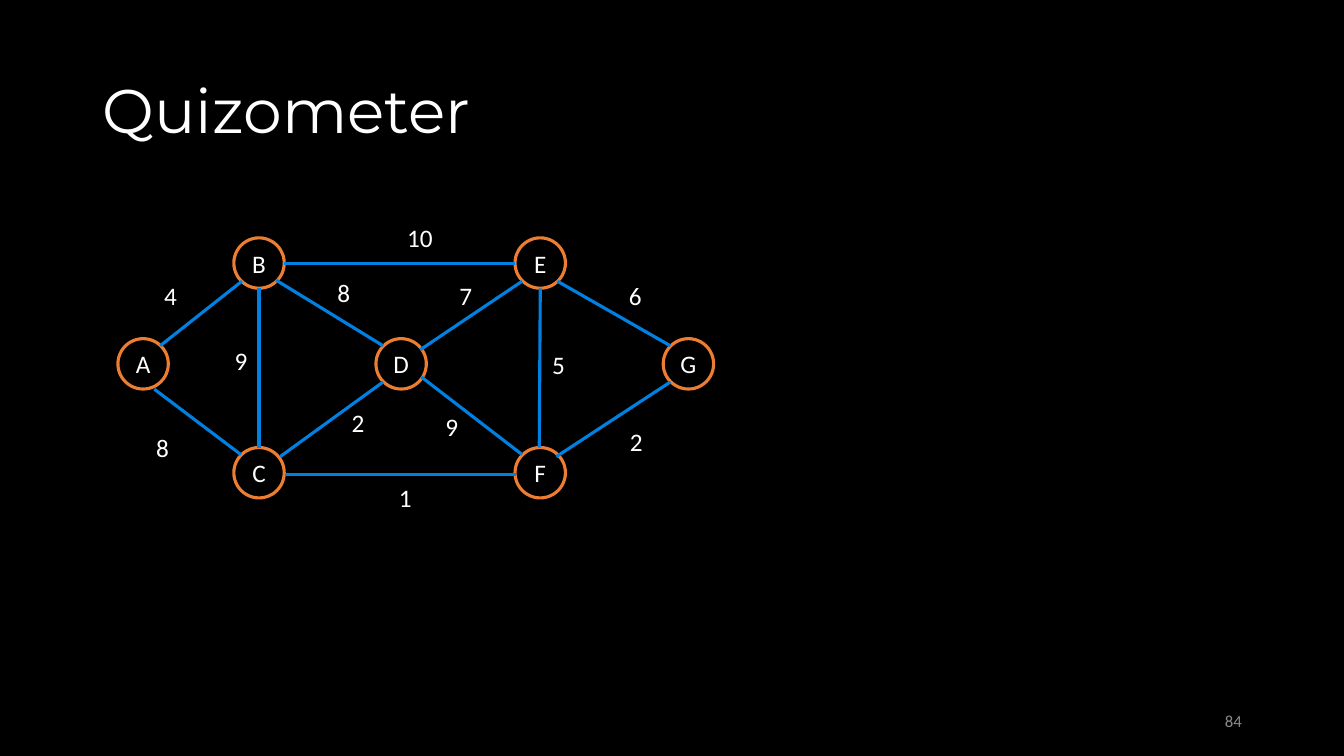
from lxml import etree
from pptx import Presentation
from pptx import util as u
from pptx.dml.color import RGBColor
from pptx.enum import shapes, text
from pptx.oxml import ns

PX = 9144  # 100 px to the inch
COLORS = {"background": "000000", "text": "FFFFFF", "node": "ED7D31",
          "edge": "0081E2", "number": "8C8C8C"}
NODE_SIZE = 50
LABEL_HEIGHT = 40


def px(*lengths):
    return [u.Emu(length * PX) for length in lengths]


def write(shape, words, color="text", align="LEFT", anchor="MIDDLE", size=18,
          name="Calibri", **frame_format):
    frame = shape.text_frame
    frame.text = words
    frame_format["vertical_anchor"] = text.MSO_ANCHOR[anchor]
    for key, value in frame_format.items():
        setattr(frame, key, value)
    paragraph = frame.paragraphs[0]
    paragraph.alignment = text.PP_ALIGN[align]
    font = paragraph.runs[0].font
    for key, value in {"name": name, "size": u.Pt(size), "bold": False}.items():
        setattr(font, key, value)
    font.color.rgb = RGBColor.from_string(COLORS[color])
    return paragraph


# Widescreen slide, 16:9
presentation = Presentation()
presentation.slide_height = u.Inches(7.5)
presentation.slide_width = presentation.slide_height * 16 // 9
slide = presentation.slides.add_slide(presentation.slide_layouts[5])
slide.background.fill.solid()
slide.background.fill.fore_color.rgb = RGBColor.from_string(COLORS["background"])

# Title
title = slide.shapes.title
title.left, title.top, title.width, title.height = px(92, 40, 1150, 145)
paragraph = write(title, "Quizometer", size=44, name="Montserrat",
                  word_wrap=True, auto_size=text.MSO_AUTO_SIZE.NONE)
paragraph.line_spacing = 0.9

# Graph nodes: left, top
nodes = {"G": (658, 336), "A": (117, 336), "D": (373, 336), "F": (511, 444),
         "C": (232, 444), "E": (511, 236), "B": (232, 236)}
for letter, (left, top) in nodes.items():
    node = slide.shapes.add_shape(shapes.MSO_SHAPE.OVAL,
                                  *px(left, top, NODE_SIZE, NODE_SIZE))
    node.shadow.inherit = False
    node.fill.background()
    node.line.color.rgb = RGBColor.from_string(COLORS["node"])
    node.line.width = u.Pt(2.25)
    write(node, letter, align="CENTER", margin_left=0, margin_right=0,
          margin_top=0, margin_bottom=0)

# Graph edges: weight, line ends, label left and top
edges = [
    (10, (282, 261, 511, 261), (394, 216)),  # B to E
    (1, (284, 471, 512, 471), (386, 474)),   # C to F
    (9, (257, 286, 257, 444), (223, 338)),   # B to C
    (5, (536, 286, 535, 444), (538, 342)),   # E to F
    (6, (553, 279, 665, 343), (614, 273)),   # E to G
    (8, (153, 386, 239, 451), (145, 424)),   # A to C
    (8, (274, 278, 380, 343), (325, 270)),   # B to D
    (9, (418, 374, 518, 451), (432, 403)),   # D to F
    (4, (159, 343, 240, 279), (153, 273)),   # A to B
    (2, (278, 453, 380, 379), (339, 399)),   # C to D
    (7, (417, 347, 518, 279), (446, 273)),   # D to E
    (2, (552, 453, 665, 379), (615, 418)),   # F to G
]
for weight, ends, (left, top) in edges:
    edge = slide.shapes.add_connector(shapes.MSO_CONNECTOR.STRAIGHT, *px(*ends))
    edge.line.color.rgb = RGBColor.from_string(COLORS["edge"])
    edge.line.width = u.Pt(2.25)
    etree.SubElement(edge._element.spPr, ns.qn("a:effectLst"))

    width = 46 if weight > 9 else 33
    label = slide.shapes.add_textbox(*px(left, top, width, LABEL_HEIGHT))
    write(label, str(weight), anchor="TOP", word_wrap=False,
          auto_size=text.MSO_AUTO_SIZE.SHAPE_TO_FIT_TEXT)

# Slide number
number = slide.shapes.add_textbox(*px(942, 695, 300, 40))
write(number, "84", color="number", align="RIGHT", size=12, word_wrap=True)

presentation.save("out.pptx")
